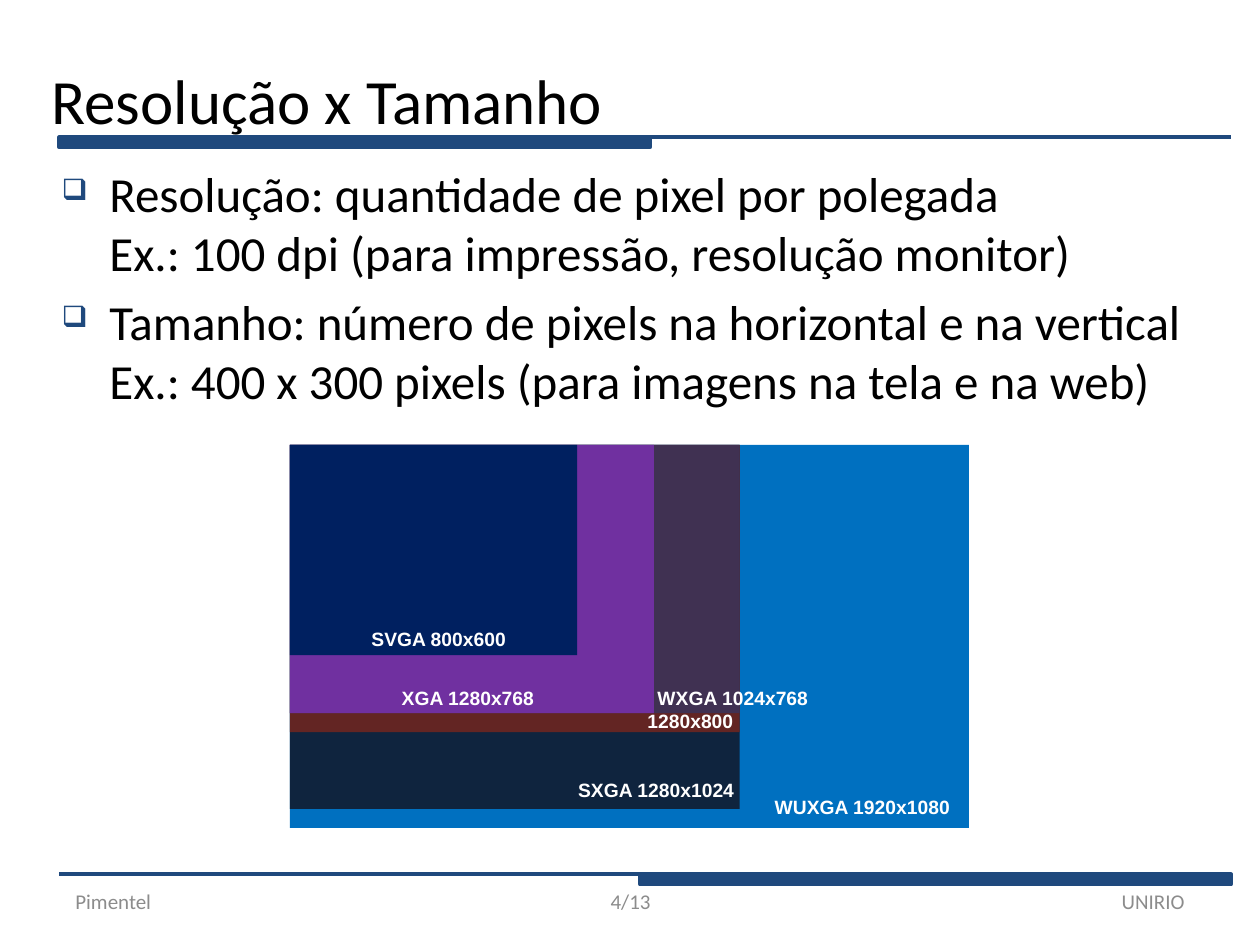
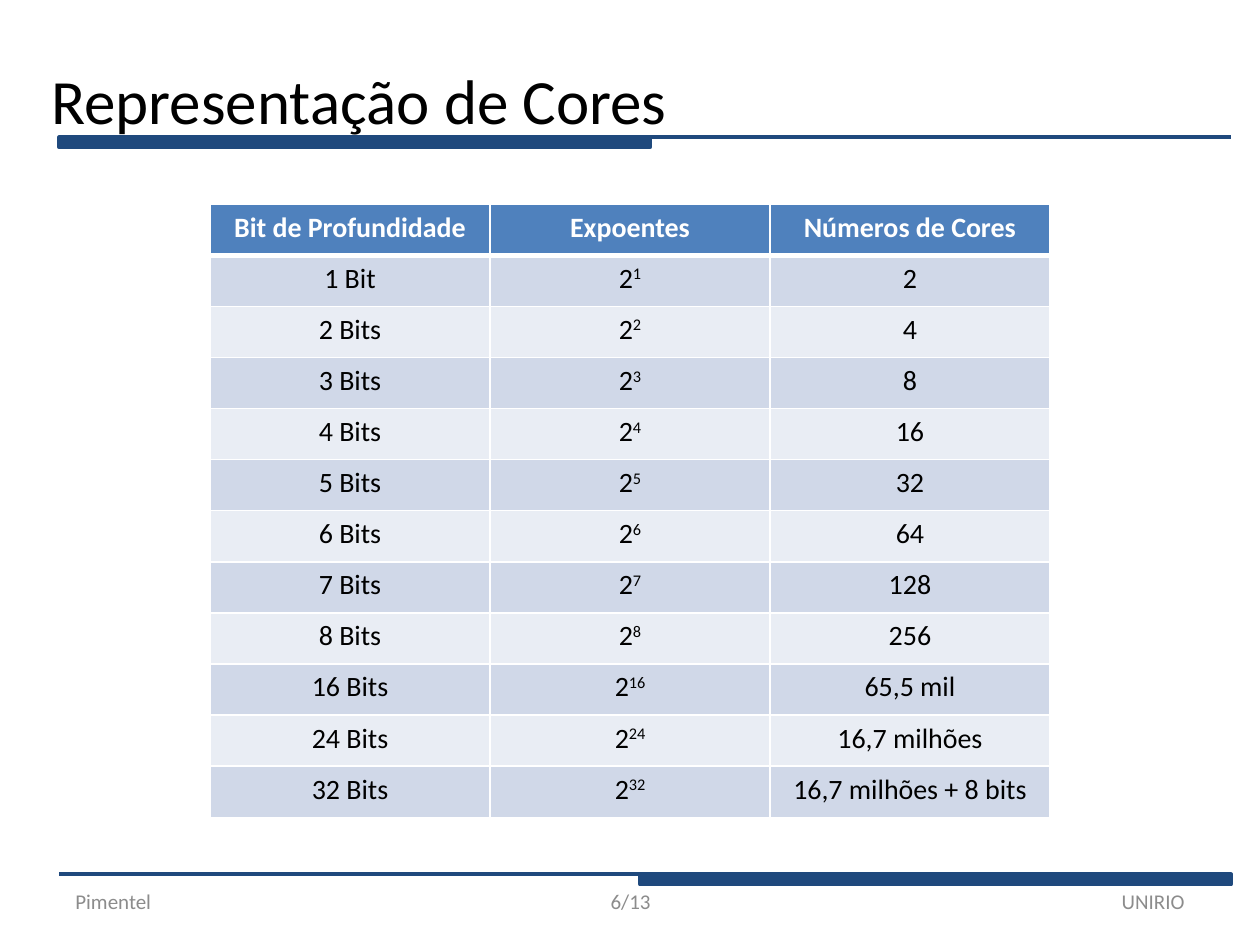
import lxml.etree
import pptx
import pptx.dml.color
import pptx.enum.shapes
import pptx.enum.text
import pptx.oxml.ns
import pptx.util

WIDTH, HEIGHT = pptx.util.Inches(10), pptx.util.Inches(7.5)
COLORS = {
    "band": "1F497D", "text": "000000", "footer": "8C8C8C", "white": "FFFFFF",
    "header": "4F81BD", "odd": "D0D8E8", "even": "E9EDF4",
    "wuxga": "0070C0", "sxga": "0F243E", "wide": "632523",
    "wxga": "403152", "xga": "7030A0", "svga": "002060",
}
COLORS = {name: pptx.dml.color.RGBColor.from_string(value) for name, value in COLORS.items()}
ALIGN = pptx.enum.text.PP_ALIGN
ANCHOR = pptx.enum.text.MSO_ANCHOR
RECTANGLE = pptx.enum.shapes.MSO_SHAPE.RECTANGLE
STRAIGHT = pptx.enum.shapes.MSO_CONNECTOR.STRAIGHT
qn = pptx.oxml.ns.qn


def percent(left, top, width, height):
    return [int(share * side / 100) for share, side in
            zip((left, top, width, height), (WIDTH, HEIGHT, WIDTH, HEIGHT))]


def write(page, area, lines, size, color, font="Calibri", bold=False,
          align=ALIGN.LEFT, anchor=ANCHOR.TOP):
    frame = page.shapes.add_textbox(*percent(*area)).text_frame
    frame.word_wrap = True
    frame.vertical_anchor = anchor
    for index, line in enumerate(lines):
        para = frame.add_paragraph() if index else frame.paragraphs[0]
        para.text = line
        para.alignment = align
        para.font.name = font
        para.font.size = pptx.util.Pt(size)
        para.font.bold = bold
        para.font.color.rgb = COLORS[color]
    return frame


deck = pptx.Presentation()
deck.slide_width, deck.slide_height = WIDTH, HEIGHT

pages = []
for title, number in (("Resolução x Tamanho", "4/13"), ("Representação de Cores", "6/13")):
    page = deck.slides.add_slide(deck.slide_layouts[6])
    pages.append(page)
    for top, bar_left in ((14.53, 4.7), (92.53, 50.8)):
        left, y, length, thickness = percent(4.7, top, 93, 1.07)
        rule = page.shapes.add_connector(STRAIGHT, left, y, left + length, y)
        rule.line.color.rgb = COLORS["band"]
        rule.line.width = pptx.util.Pt(2.25)
        lxml.etree.SubElement(rule._element.spPr, qn("a:effectLst"))
        bar = page.shapes.add_shape(RECTANGLE, *percent(bar_left, top, 46.9, 1.07))
        bar.shadow.inherit = False
        bar.fill.solid()
        bar.fill.fore_color.rgb = COLORS["band"]
        bar.line.color.rgb = COLORS["band"]
        bar.line.width = pptx.util.Pt(2.25)
    write(page, (3.1, 2.13, 90, 16.67), [title], 36, "text", anchor=ANCHOR.MIDDLE)
    for left, width, text, align in (
        (5, 23.3, "Pimentel", ALIGN.LEFT),
        (34.2, 31.7, number, ALIGN.CENTER),
        (71.7, 23.3, "UNIRIO", ALIGN.RIGHT),
    ):
        write(page, (left, 92.67, width, 5.33), [text], 12, "footer",
              align=align, anchor=ANCHOR.MIDDLE)

resolution_page, color_page = pages

definitions = [
    "Resolução: quantidade de pixel por polegada\v"
    "Ex.: 100 dpi (para impressão, resolução monitor)",
    "Tamanho: número de pixels na horizontal e na vertical\v"
    "Ex.: 400 x 300 pixels (para imagens na tela e na web)",
]
body = write(resolution_page, (3.9, 16.67, 94.5, 30.27), definitions, 28, "text")
indent = int(WIDTH * 3.8 / 100)
for index, para in enumerate(body.paragraphs):
    properties = para._p.get_or_add_pPr()
    properties.set("marL", str(indent))
    properties.set("indent", str(-indent))
    bullet_color = lxml.etree.Element(qn("a:buClr"))
    lxml.etree.SubElement(bullet_color, qn("a:srgbClr"), val=str(COLORS["band"]))
    bullet_size = lxml.etree.Element(qn("a:buSzPct"), val="60000")
    bullet_mark = lxml.etree.Element(qn("a:buChar"), char="❑")
    for position, element in enumerate((bullet_color, bullet_size, bullet_mark)):
        properties.insert(position, element)
    if index:
        para.space_before = pptx.util.Pt(5.6)

for name, width, height in (
    ("wuxga", 53.9, 40.53),
    ("sxga", 35.7, 38.53),
    ("wide", 35.7, 30.4),
    ("wxga", 35.7, 28.4),
    ("xga", 28.9, 28.4),
    ("svga", 22.8, 22.27),
):
    screen = resolution_page.shapes.add_shape(RECTANGLE, *percent(23, 47.07, width, height))
    screen.shadow.inherit = False
    screen.fill.solid()
    screen.fill.fore_color.rgb = COLORS[name]
    screen.line.fill.background()

for left, top, width, label in (
    (60.5, 83.47, 16.4, "WUXGA 1920x1080"),
    (44.9, 81.73, 14.8, "SXGA 1280x1024"),
    (50.4, 74.4, 9.4, "1280x800"),
    (30.9, 72, 13.3, "XGA 1280x768"),
    (51.2, 72, 15.6, "WXGA 1024x768"),
    (28.5, 65.73, 13.3, "SVGA 800x600"),
):
    write(resolution_page, (left, top, width, 3.87), [label], 11, "white", "Arial", True)

headings = ("Bit de Profundidade", "Expoentes", "Números de Cores")
depths = (
    (1, "2"), (2, "4"), (3, "8"), (4, "16"), (5, "32"), (6, "64"), (7, "128"), (8, "256"),
    (16, "65,5 mil"), (24, "16,7 milhões"), (32, "16,7 milhões + 8 bits"),
)
rows = [headings]
for bits, amount in depths:
    rows.append((f"{bits} Bit" + ("s" if bits > 1 else ""), f"2^{bits}", amount))

table = color_page.shapes.add_table(
    len(rows), len(headings), *percent(16.67, 21.6, 66.67, 64.93)).table
for row_index, row in enumerate(rows):
    is_header = row_index == 0
    fill = "header" if is_header else "odd" if row_index % 2 else "even"
    for column_index, text in enumerate(row):
        cell = table.cell(row_index, column_index)
        properties = cell._tc.get_or_add_tcPr()
        for side in "LRTB":
            heavy = (row_index, side) in ((0, "B"), (1, "T"))
            border = lxml.etree.SubElement(properties, qn(f"a:ln{side}"),
                                           w=str(pptx.util.Pt(3 if heavy else 1)))
            paint = lxml.etree.SubElement(border, qn("a:solidFill"))
            lxml.etree.SubElement(paint, qn("a:srgbClr"), val=str(COLORS["white"]))
        cell.fill.solid()
        cell.fill.fore_color.rgb = COLORS[fill]
        para = cell.text_frame.paragraphs[0]
        base, _, exponent = text.partition("^")
        para.add_run().text = base
        if exponent:
            span = para.add_run()
            span.text = exponent
            span._r.get_or_add_rPr().set("baseline", "30000")
        para.alignment = ALIGN.CENTER
        para.font.name = "Calibri"
        para.font.size = pptx.util.Pt(16)
        para.font.bold = is_header
        para.font.color.rgb = COLORS["white" if is_header else "text"]

deck.save("out.pptx")
